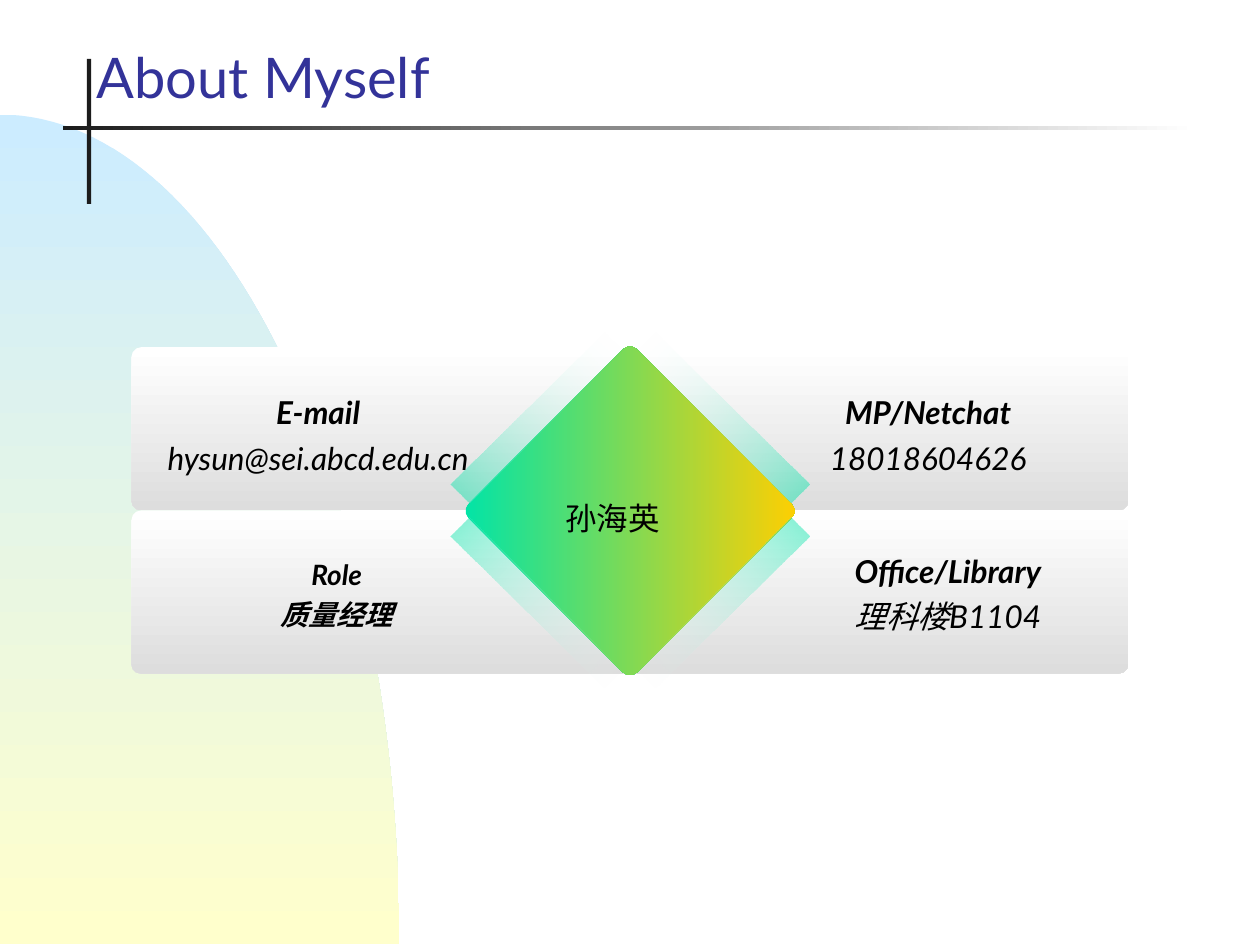
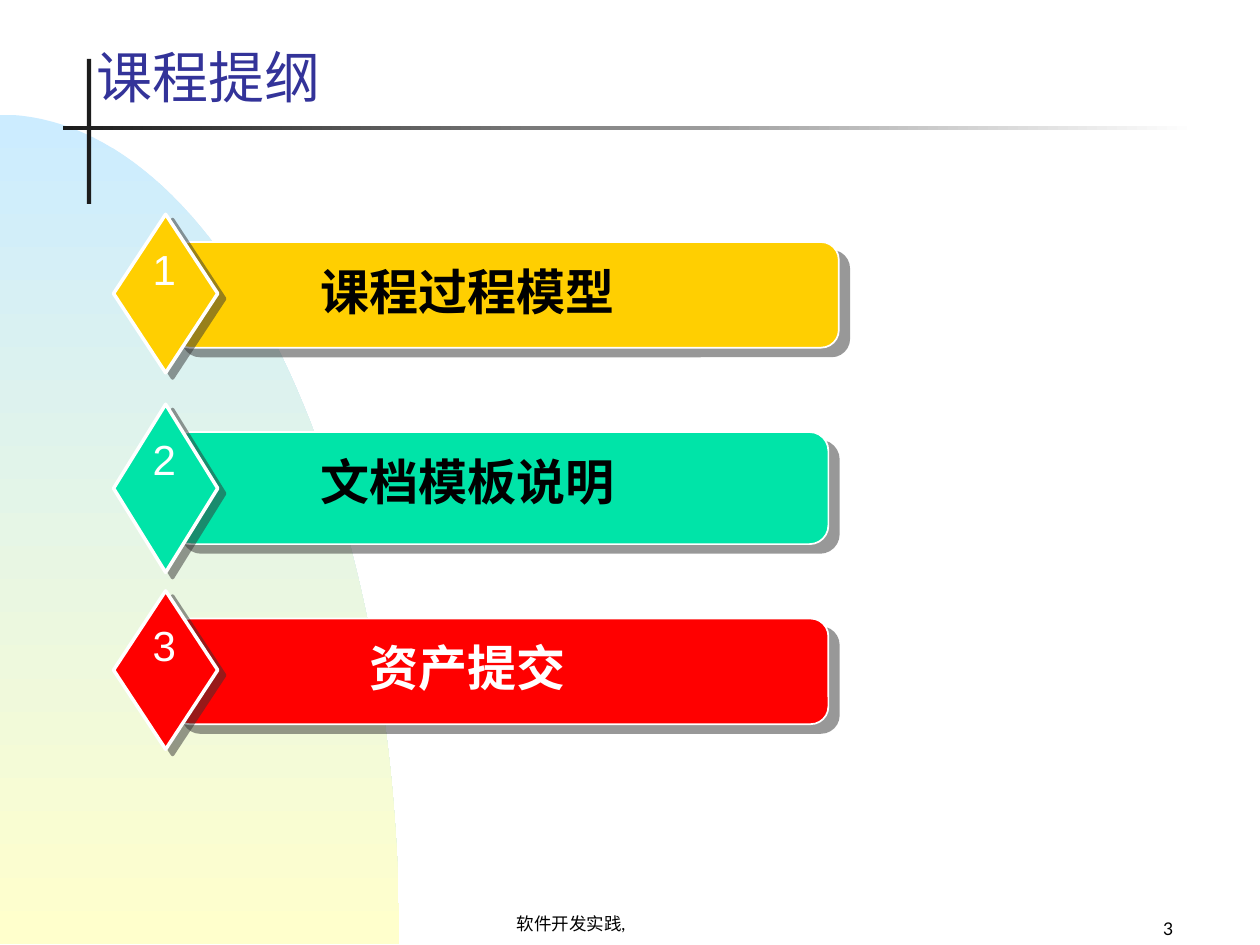
from math import cos, pi, sin

from lxml.etree import SubElement
from pptx import Presentation
from pptx.dml.color import RGBColor
from pptx.enum.shapes import MSO_SHAPE
from pptx.enum.text import MSO_ANCHOR, PP_ALIGN
from pptx.oxml.ns import qn
from pptx.util import Cm, Pt

WHITE, BLACK, INK, NAVY = "FFFFFF", "000000", "1C1C1C", "333399"
GOLD, MINT, RED, GREY, SHADOW = "FFCF01", "00E4A8", "FF0000", "DDDDDD", "333333"
SKY, CREAM = "CCECFF", "FFFFCC"


def paint(fill, *colours, angle=0):
    if len(colours) == 1:
        fill.solid()
        fill.fore_color.rgb = RGBColor.from_string(colours[0])
        return
    fill.gradient()
    fill.gradient_angle = -angle % 360
    for position, (stop, colour) in enumerate(zip(fill.gradient_stops, colours)):
        stop.color.rgb = RGBColor.from_string(colour)
        stop.position = position


def add_text(shapes, box, lines, colour, font_format, frame_format, paragraph_format):
    frame = shapes.add_textbox(*[Cm(length) for length in box]).text_frame
    for name, value in {"word_wrap": True, **frame_format}.items():
        setattr(frame, name, value)
    for index, (text, bold) in enumerate(lines):
        paragraph = frame.add_paragraph() if index else frame.paragraphs[0]
        for name, value in paragraph_format.items():
            setattr(paragraph, name, value)
        run = paragraph.add_run()
        run.text = text
        for name, value in {**font_format, "bold": bold}.items():
            setattr(run.font, name, value)
        paint(run.font.fill, colour)


presentation = Presentation()
presentation.slide_width = Cm(25.4)
presentation.slide_height = Cm(19.05)
plain_shapes = []
slides = []
bottom = {"vertical_anchor": MSO_ANCHOR.BOTTOM}
middle = {"vertical_anchor": MSO_ANCHOR.MIDDLE}
unwrapped = {"word_wrap": False}
centred = {"alignment": PP_ALIGN.CENTER}

for title in ("About Myself", "课程提纲"):
    slide = presentation.slides.add_slide(presentation.slide_layouts[6])
    slides.append(slide)
    paint(slide.background.fill, WHITE)

    arc_angles = [step * pi / 120 for step in range(61)]
    arc = [(Cm(8.05 * sin(angle)), Cm(19.03 - 16.72 * cos(angle))) for angle in arc_angles]
    builder = slide.shapes.build_freeform(*arc[0])
    builder.add_line_segments(arc[1:] + [(0, Cm(19.03))])
    hill = builder.convert_to_shape()
    paint(hill.fill, SKY, CREAM, angle=90)
    plain_shapes.append(hill)

    for box, colours in (
        ((1.75, 1.19, 0.09, 2.92), (INK,)),
        ((1.27, 2.54, 22.86, 0.08), (INK, WHITE)),
    ):
        rule = slide.shapes.add_shape(MSO_SHAPE.RECTANGLE, *[Cm(length) for length in box])
        paint(rule.fill, *colours)
        plain_shapes.append(rule)

    add_text(slide.shapes, (1.7, 0.43, 17.98, 1.91), [(title, False)], NAVY,
             {"name": "Lato", "size": Pt(32)}, bottom, {})

about, outline = slides

for row in range(2):
    card = about.shapes.add_shape(
        MSO_SHAPE.ROUNDED_RECTANGLE, Cm(2.65), Cm(7 + 3.29 * row), Cm(20.1), Cm(3.29))
    card.adjustments[0] = 0.06
    paint(card.fill, WHITE, GREY, angle=90)
    plain_shapes.append(card)

diamond = about.shapes.add_shape(
    MSO_SHAPE.ROUNDED_RECTANGLE, Cm(10.3), Cm(7.9), Cm(4.8), Cm(4.8))
diamond.rotation = 45
diamond.adjustments[0] = 0.04
paint(diamond.fill, MINT, GOLD)
diamond.element.spPr.find(qn("a:gradFill")).set("rotWithShape", "0")
plain_shapes.append(diamond)

add_text(about.shapes, (11.15, 9.93, 3.4, 0.97), [("孙海英", False)], BLACK,
         {"name": "Noto Sans CJK SC", "size": Pt(18)}, unwrapped, {})

ribbon_offsets = ((0.53, 3.58), (0.18, 3.23), (3.23, 0.15), (3.61, 0.53))
for side_x, side_y, angle in ((1, -1, 45), (-1, -1, 135), (-1, 1, 225), (1, 1, 315)):
    corners = [(Cm(12.7 + side_x * x), Cm(10.29 + side_y * y)) for x, y in ribbon_offsets]
    builder = about.shapes.build_freeform(*corners[0])
    builder.add_line_segments(corners[1:])
    ribbon = builder.convert_to_shape()
    paint(ribbon.fill, WHITE, MINT, angle=angle)
    stop_colours = ribbon.element.spPr.iter(qn("a:srgbClr"))
    for stop_colour, opacity in zip(stop_colours, ("0", "50000")):
        SubElement(stop_colour, qn("a:alpha")).set("val", opacity)
    plain_shapes.append(ribbon)

for box, size, heading, detail, detail_bold in (
    ((2.72, 7.09, 7.39, 3.2), 18, "E-mail", "hysun@sei.abcd.edu.cn", False),
    ((14.71, 7.09, 8, 3.2), 18, "MP/Netchat", "18018604626", False),
    ((2.69, 10.31, 8.2, 3.2), 16, "Role", "质量经理", True),
    ((14.12, 10.29, 9.98, 3.2), 18, "Office/Library", "理科楼B1104", False),
):
    add_text(about.shapes, box, [(heading, True), (detail, detail_bold)], BLACK,
             {"name": "Lato", "size": Pt(size), "italic": True},
             middle, {**centred, "line_spacing": 1.2})

for box, text, alignment in (
    ((7.49, 18.11, 8.05, 0.84), "软件开发实践,", PP_ALIGN.CENTER),
    ((18.62, 18.21, 5.28, 0.84), "3", PP_ALIGN.RIGHT),
):
    add_text(outline.shapes, box, [(text, False)], BLACK,
             {"name": "Lato", "size": Pt(10)}, bottom, {"alignment": alignment})

for number, (topic, colour, text_colour, top, width, height) in enumerate((
    ("课程过程模型", GOLD, BLACK, 4.88, 13.44, 2.13),
    ("文档模板说明", MINT, BLACK, 8.71, 13.23, 2.26),
    ("资产提交", RED, WHITE, 12.47, 13.23, 2.13),
), start=1):
    item = outline.shapes.add_group_shape()
    for kind, box, line_width, distance, direction in (
        (MSO_SHAPE.ROUNDED_RECTANGLE, (3.47, top, width, height), 1, 7.8, 40),
        (MSO_SHAPE.DIAMOND, (2.29, top - 0.56, 2.1, height * 1.5), 2, 5, 37),
    ):
        shape = item.shapes.add_shape(kind, *[Cm(length) for length in box])
        paint(shape.fill, colour)
        paint(shape.line.fill, WHITE)
        shape.line.width = Pt(line_width)
        shape.shadow.inherit = False
        shadow = SubElement(shape.element.spPr.find(qn("a:effectLst")), qn("a:outerShdw"))
        for name, value in {"dist": Pt(distance), "dir": direction * 60000,
                            "algn": "ctr", "rotWithShape": 0}.items():
            shadow.set(name, str(int(value)) if name != "algn" else value)
        shadow_colour = SubElement(shadow, qn("a:srgbClr"))
        shadow_colour.set("val", SHADOW)
        SubElement(shadow_colour, qn("a:alpha")).set("val", "50000")

    add_text(item.shapes, (4.18, top + 0.26, 10.5, 1.45), [(topic, True)], text_colour,
             {"name": "Arial", "size": Pt(28)}, {}, centred)
    add_text(item.shapes, (2.83, top - 0.1, 0.97, 1.27), [(str(number), False)], WHITE,
             {"name": "Arial", "size": Pt(24)}, unwrapped, centred)

for shape in plain_shapes:
    shape.shadow.inherit = False
    shape.line.fill.background()

presentation.save("out.pptx")
